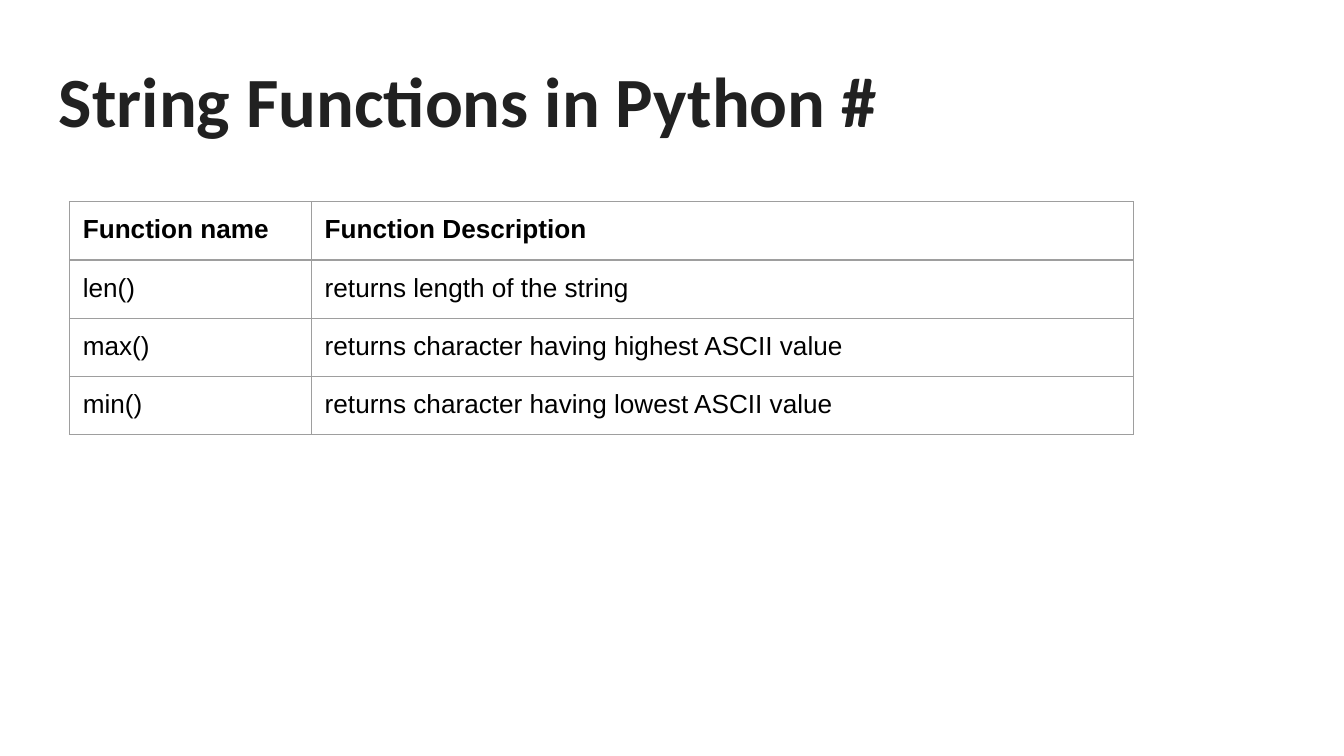
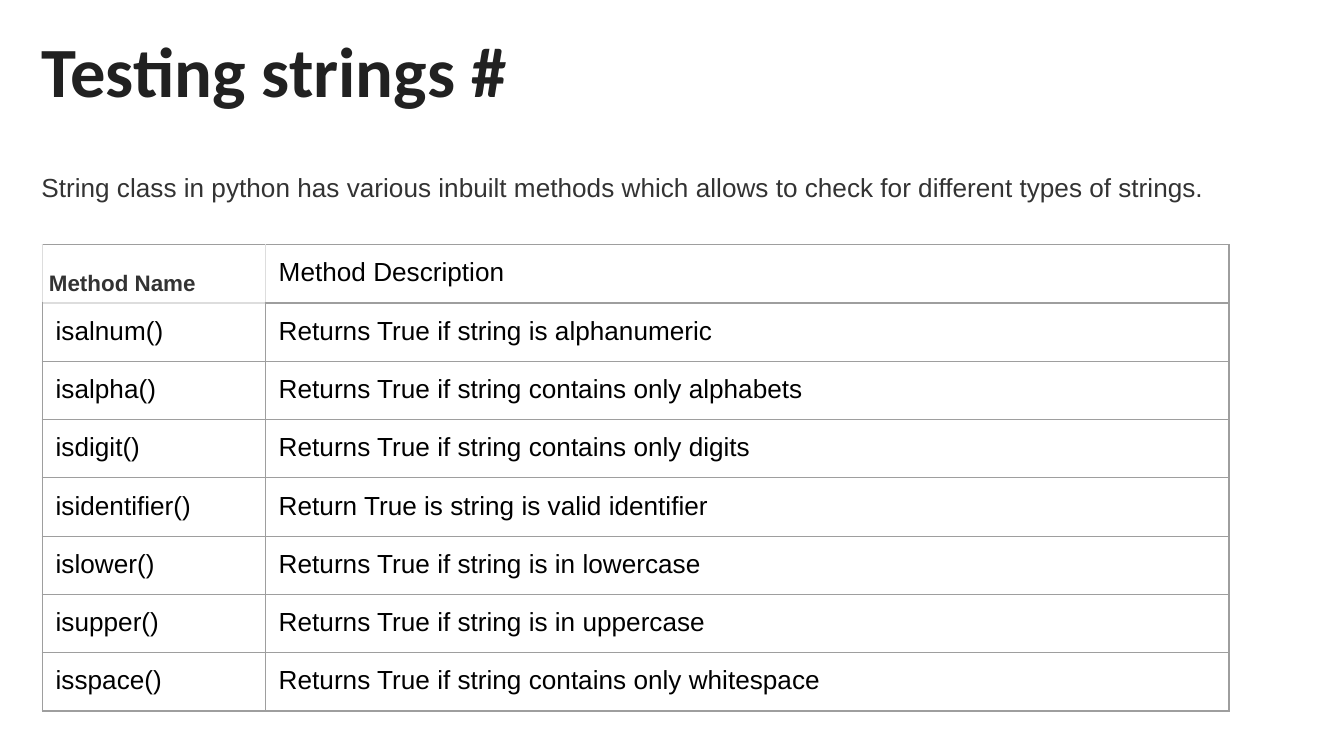
from lxml.etree import SubElement as Sub
from pptx import Presentation
from pptx.dml.color import RGBColor
from pptx.enum.text import MSO_ANCHOR as Anchor
from pptx.oxml.ns import qn
from pptx.util import Inches, Pt

WIDTH = Inches(10)
HEIGHT = WIDTH * 9 // 16
COLUMN = ROW = WIDTH / 100

WHITE = RGBColor(0xFF, 0xFF, 0xFF)
BLACK = RGBColor(0x00, 0x00, 0x00)
TITLE_INK = RGBColor(0x21, 0x21, 0x21)
BODY_INK = RGBColor(0x33, 0x33, 0x33)
RULE = RGBColor(0x9E, 0x9E, 0x9E)
PALE_RULE = RGBColor(0xDD, 0xDD, 0xDD)

TITLE_FONT, BODY_FONT = "Calibri", "Arial"
PADDING, TIGHT_PADDING = Inches(0.1), Inches(0.05)
SIDES = ("L", "R", "T", "B")
THIN, THICK = Pt(0.75), Pt(1.5)

FUNCTIONS = (
    ("Function name", "Function Description"),
    ("len()", "returns length of the string"),
    ("max()", "returns character having highest ASCII value"),
    ("min()", "returns character having lowest ASCII value"),
)
METHODS = (
    ("Method Name", "Method Description"),
    ("isalnum()", "Returns True if string is alphanumeric"),
    ("isalpha()", "Returns True if string contains only alphabets"),
    ("isdigit()", "Returns True if string contains only digits"),
    ("isidentifier()", "Return True is string is valid identifier"),
    ("islower()", "Returns True if string is in lowercase"),
    ("isupper()", "Returns True if string is in uppercase"),
    ("isspace()", "Returns True if string contains only whitespace"),
)


def on_grid(left, top, width, height):
    """Turn grid columns and rows into slide lengths."""
    return tuple(round(n) for n in (left * COLUMN, top * ROW, width * COLUMN, height * ROW))


def pad(holder, margin):
    """Give a cell or text frame the same margin on every side."""
    holder.margin_left = holder.margin_right = margin
    holder.margin_top = holder.margin_bottom = margin


def write(paragraph, words, size, color=BLACK, font=BODY_FONT, bold=False):
    """Add one styled run to a paragraph."""
    run = paragraph.add_run()
    run.text = words
    run.font.name, run.font.size, run.font.bold = font, Pt(size), bold
    run.font.color.rgb = color


def add_words(slide, box, words, size, color, font, bold=False):
    """Place a wrapped line of text in a grid box and return its paragraph."""
    frame = slide.shapes.add_textbox(*on_grid(*box)).text_frame
    frame.word_wrap = True
    frame.vertical_anchor = Anchor.TOP
    pad(frame, PADDING)
    paragraph = frame.paragraphs[0]
    write(paragraph, words, size, color, font, bold)
    return paragraph


def add_title(slide, left, top, words):
    """Place a slide title in the shared title style."""
    add_words(slide, (left, top, 93.2, 8.8), words, 37.8, TITLE_INK, TITLE_FONT, True)


def draw_borders(cell, special):
    """Rule all four sides of a cell, with special colours and widths by side."""
    properties = cell._tc.get_or_add_tcPr()
    for index, side in enumerate(SIDES):
        color, width = special.get(side, (RULE, THIN))
        line = Sub(properties, qn(f"a:ln{side}"), w=str(int(width)))
        Sub(Sub(line, qn("a:solidFill")), qn("a:srgbClr"), val=str(color))
        properties.insert(index, line)


def add_rule_table(slide, box, name_columns, row_step, entries, bold_header=False, special=None):
    """Fill a grid box with a two-column ruled table and return it."""
    left, top, width, height = on_grid(*box)
    holder = slide.shapes.add_table(len(entries), 2, left, top, width, height)
    table = holder.table
    table.first_row = table.horz_banding = False
    table.columns[0].width = round(name_columns * COLUMN)
    table.columns[1].width = width - table.columns[0].width
    for r, entry in enumerate(entries):
        table.rows[r].height = round(row_step * ROW)
        for c, words in enumerate(entry):
            cell = table.cell(r, c)
            cell.fill.background()
            pad(cell, PADDING)
            write(cell.text_frame.paragraphs[0], words, 14, bold=bold_header and r == 0)
            draw_borders(cell, (special or {}).get((r, c), {}))
    holder.height = height
    return table


def new_slide(deck):
    """Add a blank white slide."""
    slide = deck.slides.add_slide(deck.slide_layouts[6])
    slide.background.fill.solid()
    slide.background.fill.fore_color.rgb = WHITE
    return slide


def build_functions_slide(deck):
    """Build the slide that lists string functions."""
    slide = new_slide(deck)
    add_title(slide, 3.4, 3.2, "String Functions in Python #")
    add_rule_table(slide, (5.16, 15, 79.2, 17.3), 18, 4.17, FUNCTIONS, bold_header=True)


def build_testing_slide(deck):
    """Build the slide that lists string tests."""
    slide = new_slide(deck)
    add_title(slide, 2.1, 1, "Testing strings #")
    intro = add_words(
        slide, (2.1, 11.4, 93.2, 6.8),
        "String class in python has various inbuilt methods which allows to check "
        "for different types of strings.", 14, BODY_INK, BODY_FONT)
    intro.line_spacing = 1.15
    pale, heavy = (PALE_RULE, THIN), (PALE_RULE, THICK)
    special = {(0, 0): {"L": pale, "R": pale, "B": heavy}, (0, 1): {"L": pale}, (1, 0): {"T": heavy}}
    table = add_rule_table(
        slide, (3.14, 18.2, 88.3, 34.7), 16.6, 4.34, METHODS, special=special)
    style_name_header(table.cell(0, 0))


def style_name_header(header):
    """Set the name heading small, bold and low in its cell."""
    pad(header, TIGHT_PADDING)
    header.vertical_anchor = Anchor.BOTTOM
    paragraph = header.text_frame.paragraphs[0]
    paragraph.line_spacing, paragraph.space_after = 1.43, Pt(18)
    font = paragraph.runs[0].font
    font.size, font.bold = Pt(12), True
    font.color.rgb = BODY_INK


def main():
    """Build and save the deck."""
    deck = Presentation()
    deck.slide_width, deck.slide_height = WIDTH, HEIGHT
    build_functions_slide(deck)
    build_testing_slide(deck)
    deck.save("out.pptx")


if __name__ == "__main__":
    main()
